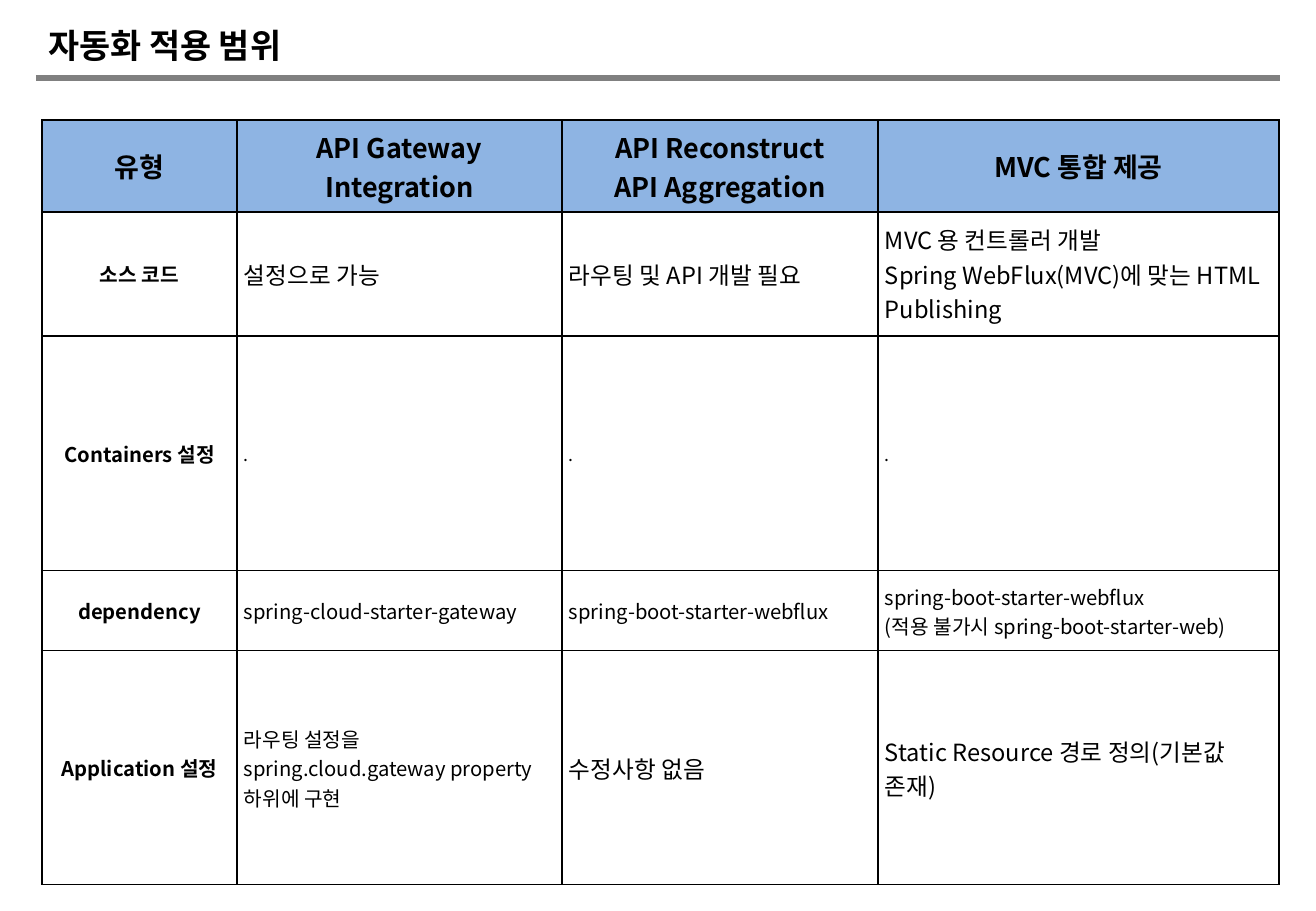
from lxml.etree import SubElement
from pptx import Presentation
from pptx.dml.color import RGBColor
from pptx.enum.shapes import MSO_CONNECTOR
from pptx.enum.text import MSO_ANCHOR, PP_ALIGN
from pptx.oxml.ns import qn
from pptx.util import Pt

EMU_PER_PX = 914400 / 121.5
KOREAN_FONT = "Noto Sans CJK KR"
HEADER_FILL = "8EB4E3"
COLUMN_WIDTHS = [195, 325, 316, 401]
ROW_HEIGHTS = [92, 124, 235, 80, 234]

HEADERS = ["유형", "API Gateway Integration", "API Reconstruct\nAPI Aggregation", "MVC 통합 제공"]
# Row label, then the text and size of each cell
SCOPE_ROWS = [
    ("소스 코드", [
        ("설정으로 가능", 14),
        ("라우팅 및 API 개발 필요", 14),
        ("MVC 용 컨트롤러 개발\nSpring WebFlux(MVC)에 맞는 HTML Publishing", 14)]),
    ("Containers 설정", [(".", 10.5)] * 3),
    ("dependency", [
        ("spring-cloud-starter-gateway", 12),
        ("spring-boot-starter-webflux", 12),
        ("spring-boot-starter-webflux\n(적용 불가시 spring-boot-starter-web)", 12)]),
    ("Application 설정", [
        ("라우팅 설정을 spring.cloud.gateway property 하위에 구현", 12),
        ("수정사항 없음", 14),
        ("Static Resource 경로 정의(기본값 존재)", 14)]),
]


def px(length):
    return round(length * EMU_PER_PX)


def color(hex_code):
    return RGBColor.from_string(hex_code)


class ScopeSlide:
    def __init__(self, presentation):
        self.slide = presentation.slides.add_slide(presentation.slide_layouts[5])
        self.text_color = "000000"
        self.border_color = "000000"

    def style_paragraph(self, paragraph, size, bold, align, latin=KOREAN_FONT):
        paragraph.alignment = align
        font = paragraph.font
        font.size, font.bold, font.name = Pt(size), bold, latin
        font.color.rgb = color(self.text_color)
        SubElement(font._element, qn("a:ea"), typeface=KOREAN_FONT)

    def title(self, text, left, top, width, height):
        heading = self.slide.shapes.title
        heading.left, heading.top = px(left), px(top)
        heading.width, heading.height = px(width), px(height)
        frame = heading.text_frame
        frame.text = text
        frame.vertical_anchor = MSO_ANCHOR.MIDDLE
        self.style_paragraph(frame.paragraphs[0], 20, True, PP_ALIGN.LEFT, "Roboto")

    def rule(self, left, right, y, line_color, weight):
        line = self.slide.shapes.add_connector(
            MSO_CONNECTOR.STRAIGHT, px(left), px(y), px(right), px(y))
        line.line.color.rgb = color(line_color)
        line.line.width = Pt(weight)
        SubElement(line._element.spPr, qn("a:effectLst"))

    def table(self, left, top, widths, heights):
        grid = self.slide.shapes.add_table(
            len(heights), len(widths), px(left), px(top),
            px(sum(widths)), px(sum(heights))).table
        grid.first_row = grid.horz_banding = False
        for column, width in zip(grid.columns, widths):
            column.width = px(width)
        for row, height in zip(grid.rows, heights):
            row.height = px(height)
        return grid

    def cell(self, cell, text, size, bold=False, align=PP_ALIGN.LEFT, fill=None):
        cell.text = text
        cell.vertical_anchor = MSO_ANCHOR.MIDDLE
        cell.margin_left = cell.margin_right = px(7)
        cell.margin_top = cell.margin_bottom = px(7)
        for paragraph in cell.text_frame.paragraphs:
            self.style_paragraph(paragraph, size, bold, align)
        self.borders(cell)
        if fill:
            cell.fill.solid()
            cell.fill.fore_color.rgb = color(fill)
        else:
            cell.fill.background()

    def borders(self, cell):
        properties = cell._tc.get_or_add_tcPr()
        for side in ("lnL", "lnR", "lnT", "lnB"):
            edge = SubElement(properties, qn(f"a:{side}"), w=str(Pt(0.75)))
            solid = SubElement(edge, qn("a:solidFill"))
            SubElement(solid, qn("a:srgbClr"), val=self.border_color)


def main():
    presentation = Presentation()
    presentation.slide_width, presentation.slide_height = px(1316), px(911)

    scope = ScopeSlide(presentation)
    scope.rule(36, 1280, 78, "808080", 3)
    scope.title("자동화 적용 범위", 36, 18, 1244, 54)

    grid = scope.table(42, 120, COLUMN_WIDTHS, ROW_HEIGHTS)
    for column, header in enumerate(HEADERS):
        scope.cell(grid.cell(0, column), header, 16, True, PP_ALIGN.CENTER, HEADER_FILL)
    for row, (label, details) in enumerate(SCOPE_ROWS, start=1):
        scope.cell(grid.cell(row, 0), label, 12, True, PP_ALIGN.CENTER)
        for column, (text, size) in enumerate(details, start=1):
            scope.cell(grid.cell(row, column), text, size)

    presentation.save("out.pptx")


if __name__ == "__main__":
    main()
